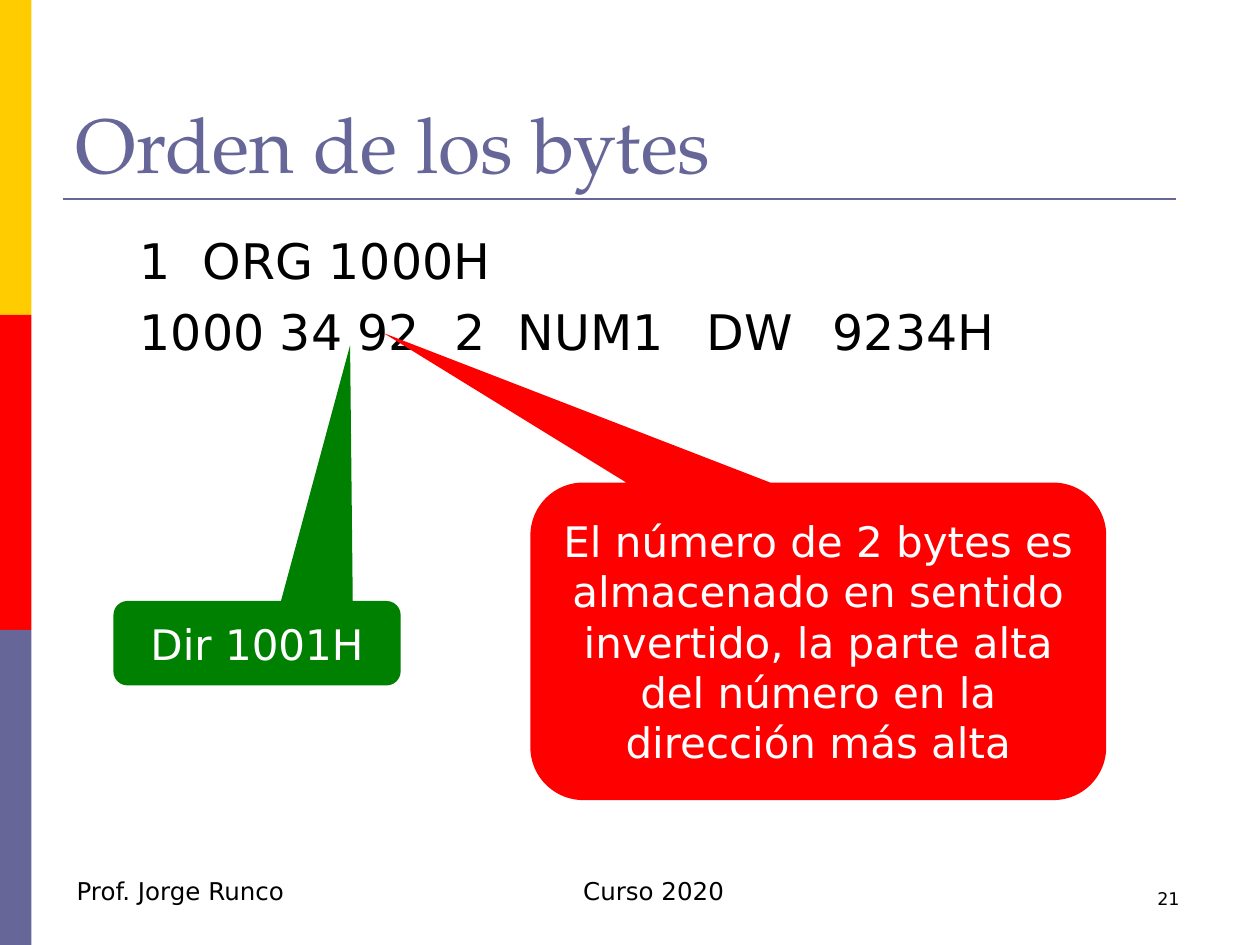
from lxml.etree import SubElement
from pptx import Presentation
from pptx.dml.color import RGBColor
from pptx.enum.shapes import MSO_CONNECTOR, MSO_SHAPE
from pptx.enum.text import MSO_ANCHOR, MSO_AUTO_SIZE, PP_ALIGN
from pptx.oxml.ns import qn
from pptx.util import Inches, Pt

YELLOW = RGBColor(0xFF, 0xCC, 0x00)
RED = RGBColor(0xFF, 0x00, 0x00)
GREEN = RGBColor(0x00, 0x80, 0x00)
SLATE = RGBColor(0x66, 0x66, 0x99)
BLACK = RGBColor(0x00, 0x00, 0x00)
WHITE = RGBColor(0xFF, 0xFF, 0xFF)
SANS = "DejaVu Sans"
SERIF = "TeX Gyre Pagella"


def write_text(shape, lines, size, color=BLACK, font=SANS, align=PP_ALIGN.LEFT,
               anchor=MSO_ANCHOR.TOP, space_before=0):
    frame = shape.text_frame
    frame.word_wrap = True
    frame.auto_size = MSO_AUTO_SIZE.NONE
    frame.vertical_anchor = anchor
    for index, line in enumerate(lines):
        paragraph = frame.add_paragraph() if index else frame.paragraphs[0]
        paragraph.alignment = align
        paragraph.space_before = Pt(space_before)
        run = paragraph.add_run()
        run.text = line
        run.font.size = Pt(size)
        run.font.name = font
        run.font.color.rgb = color


def add_filled_shape(kind, left, top, width, height, color):
    shape = slide.shapes.add_shape(kind, Inches(left), Inches(top), Inches(width), Inches(height))
    shape.shadow.inherit = False
    shape.fill.solid()
    shape.fill.fore_color.rgb = color
    shape.line.fill.background()
    return shape


presentation = Presentation()
presentation.slide_width = Inches(10)
presentation.slide_height = Inches(7.5)
slide = presentation.slides.add_slide(presentation.slide_layouts[1])
title, body = slide.placeholders

# Side band and title rule
for index, color in enumerate((YELLOW, RED, SLATE)):
    add_filled_shape(MSO_SHAPE.RECTANGLE, 0, index * 2.5, 0.25, 2.5, color)

rule = slide.shapes.add_connector(
    MSO_CONNECTOR.STRAIGHT, Inches(0.5), Inches(1.58), Inches(9.33), Inches(1.58))
rule.line.color.rgb = SLATE
rule.line.width = Pt(1.5)
SubElement(rule._element.spPr, qn("a:effectLst"))

# Footer
footers = [
    ("Prof. Jorge Runco", 0.51, 6.9, 2.5, 14, PP_ALIGN.LEFT),
    ("Curso 2020", 4.53, 6.9, 1.42, 14, PP_ALIGN.LEFT),
    ("21", 7.13, 7, 2.33, 10, PP_ALIGN.RIGHT),
]
for text, left, top, width, size, align in footers:
    box = slide.shapes.add_textbox(Inches(left), Inches(top), Inches(width), Inches(0.34))
    write_text(box, [text], size, align=align)

# Title
title.left, title.top, title.width, title.height = Inches(0.5), Inches(0.44), Inches(9), Inches(1.11)
write_text(title, ["Orden de los bytes"], 44, SLATE, SERIF, anchor=MSO_ANCHOR.BOTTOM)

# Assembler listing, its columns set by tab stops
body.left, body.top, body.width, body.height = Inches(0.51), Inches(1.78), Inches(9), Inches(4.96)
listing = {
    "\t1\tORG 1000H": (3.56, 4.47),
    "\t1000 34 92\t2\tNUM1\tDW\t9234H": (0.12, 3.23, 4.47, 5.87, 6.81),
}
write_text(body, listing, 28, space_before=6.7)
for paragraph, stops in zip(body.text_frame.paragraphs, listing.values()):
    properties = paragraph._p.get_or_add_pPr()
    properties.set("marL", "0")
    properties.set("indent", "0")
    SubElement(properties, qn("a:buNone"))
    tab_list = SubElement(properties, qn("a:tabLst"))
    for stop in stops:
        SubElement(tab_list, qn("a:tab"), pos=str(Inches(stop)), algn="l")

# Callouts
callouts = [
    ("El número de 2 bytes es almacenado en sentido invertido, la parte alta "
     "del número en la dirección más alta",
     (4.21, 3.83, 4.57, 2.52), RED, (-0.755, -0.971)),
    ("Dir 1001H", (0.9, 4.77, 2.28, 0.67), GREEN, (0.324, -3.529)),
]
for text, bounds, color, tip in callouts:
    callout = add_filled_shape(MSO_SHAPE.ROUNDED_RECTANGULAR_CALLOUT, *bounds, color)
    callout.adjustments[0], callout.adjustments[1] = tip
    write_text(callout, [text], 24, WHITE, align=PP_ALIGN.CENTER, anchor=MSO_ANCHOR.MIDDLE)

presentation.save("out.pptx")
